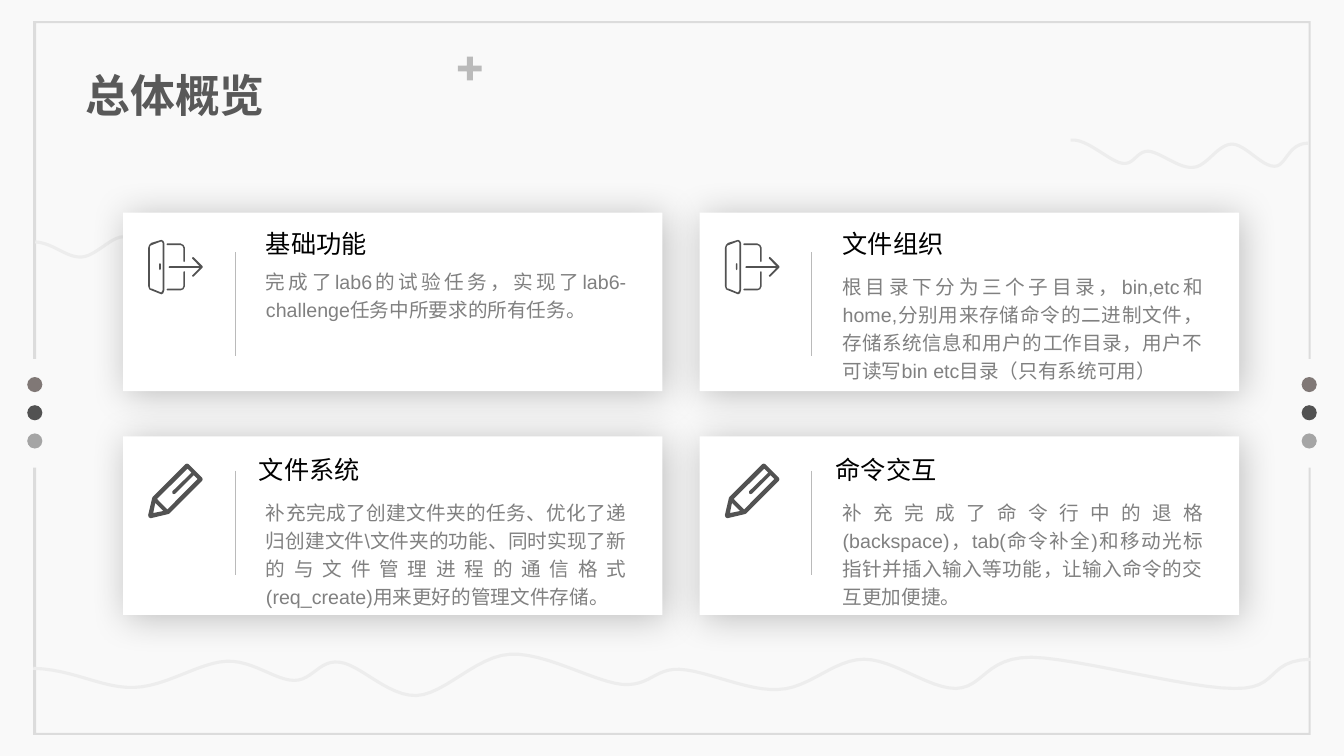
from lxml import etree
from pptx import Presentation
from pptx.dml.color import RGBColor
from pptx.enum import shapes, text
from pptx.oxml import ns
from pptx.util import Inches, Pt

BACKDROP = RGBColor(0xF9, 0xF9, 0xF9)
FRAME = RGBColor(0xDC, 0xDC, 0xDC)
WAVE = RGBColor(0xED, 0xED, 0xED)
TAUPE = RGBColor(0x80, 0x78, 0x76)
CHARCOAL = RGBColor(0x52, 0x52, 0x52)
SILVER = RGBColor(0xA5, 0xA5, 0xA5)
RULE = RGBColor(0xBA, 0xBA, 0xBA)
HEADING = RGBColor(0x59, 0x59, 0x59)
BODY = RGBColor(0x80, 0x80, 0x80)
BLACK = RGBColor(0, 0, 0)
WHITE = RGBColor(0xFF, 0xFF, 0xFF)

# Waves: a start point, then two handles and an end point per curve (inches)
WAVES = [
    [(0.33, 6.63), (0.73, 6.64), (1.01, 6.83), (1.33, 6.82), (1.65, 6.81), (1.98, 6.57),
     (2.25, 6.56), (2.51, 6.55), (2.73, 6.75), (2.92, 6.75), (3.1, 6.75), (3.17, 6.54),
     (3.37, 6.57), (3.57, 6.59), (3.85, 6.91), (4.13, 6.9), (4.41, 6.89), (4.72, 6.51),
     (5.06, 6.49), (5.4, 6.47), (5.89, 6.76), (6.17, 6.79), (6.45, 6.81), (6.49, 6.63),
     (6.74, 6.64), (7, 6.65), (7.42, 6.86), (7.72, 6.84), (8.03, 6.83), (8.27, 6.54),
     (8.57, 6.54), (8.86, 6.54), (9.21, 6.83), (9.48, 6.83), (9.76, 6.82), (9.77, 6.52),
     (10.23, 6.52), (10.69, 6.53), (11.78, 6.83), (12.24, 6.83), (12.7, 6.84),
     (12.55, 6.55), (13, 6.54)],
    [(10.62, 1.39), (10.78, 1.37), (11, 1.6), (11.13, 1.62), (11.25, 1.64), (11.27, 1.5),
     (11.39, 1.5), (11.51, 1.51), (11.7, 1.68), (11.84, 1.66), (11.97, 1.65),
     (12.08, 1.43), (12.22, 1.43), (12.35, 1.43), (12.51, 1.65), (12.64, 1.65),
     (12.76, 1.65), (12.77, 1.42), (12.98, 1.42)],
    [(0.35, 2.4), (0.53, 2.41), (0.66, 2.56), (0.81, 2.55), (0.95, 2.54), (1.1, 2.35),
     (1.22, 2.35), (1.34, 2.34), (1.44, 2.49), (1.53, 2.49), (1.61, 2.5), (1.64, 2.33),
     (1.73, 2.35), (1.83, 2.37), (1.95, 2.62), (2.08, 2.61), (2.21, 2.6), (2.35, 2.3),
     (2.51, 2.29), (2.66, 2.27), (2.88, 2.5), (3.01, 2.52)],
]

# Icon contours in hundredths of an inch
DOOR = [
    [(13, 0), (15, 1), (16, 3), (16, 50), (15, 53), (13, 54), (3, 50), (1, 49),
     (0, 46), (0, 8), (1, 5), (3, 3)],
    [(13, 1.5), (4, 5), (2, 6), (1.7, 8), (1.7, 46), (2, 48), (4, 48.5), (13, 52.3),
     (14.3, 50), (14.3, 3)],
    [(11.7, 23), (12.5, 24), (12.5, 29), (11.7, 30), (10.9, 29), (10.9, 24)],
    [(19, 3.5), (32, 3.5), (35, 5), (36.5, 8), (36.5, 21), (35.7, 22), (34.8, 21),
     (34.8, 8), (34, 6), (32, 5.2), (19, 5.2), (18.2, 4.4)],
    [(35.7, 31), (36.5, 32), (36.5, 46), (35, 49), (32, 50.2), (19, 50.2), (18.2, 49.3),
     (19, 48.5), (32, 48.5), (34, 48), (34.8, 46), (34.8, 32)],
    [(44, 17), (45, 17.3), (54, 26.3), (54, 27.5), (45, 36.5), (44, 36.5), (43.6, 35.5),
     (51, 27.8), (21, 27.8), (20.2, 27), (21, 26.1), (51, 26.1), (43.6, 18.5)],
]
PENCIL = [
    [(53.5, 14), (40, 0.5), (38.5, 0), (37, 0.5), (4.5, 33), (4, 34), (0, 51), (0.5, 53),
     (2, 54), (3, 54), (20, 50), (21, 49.5), (53.5, 17), (54, 15.5)],
    [(7, 39), (15, 47), (5, 49)],
    [(19, 45.5), (8.7, 35), (39, 5), (43, 9), (24, 27.5), (24, 29.5), (25.5, 30.2),
     (27, 29.7), (45.2, 11.3), (49, 15.2)],
]

# Rows: top, icon, rule top, title offset
ROWS = [(2.11, DOOR, 0.39, (1.32, 0.11)), (4.33, PENCIL, 0.34, (1.25, 0.13))]
COLUMNS = [1.22, 6.94]
# Cards: title, body, body offset from the card's top, body height
CARDS = [
    [("基础功能", "完成了lab6的试验任务，实现了lab6-challenge任务中所要求的所有任务。", 0.47, 0.66),
     ("文件组织", "根目录下分为三个子目录，bin,etc和home,分别用来存储命令的二进制文件，"
      "存储系统信息和用户的工作目录，用户不可读写bin etc目录（只有系统可用）", 0.52, 1.51)],
    [("文件系统", "补充完成了创建文件夹的任务、优化了递归创建文件\\文件夹的功能、"
      "同时实现了新的与文件管理进程的通信格式(req_create)用来更好的管理文件存储。", 0.54, 1.23),
     ("命令交互", "补充完成了命令行中的退格(backspace)，tab(命令补全)和移动光标指针并插入输入等功能，"
      "让输入命令的交互更加便捷。", 0.54, 0.95)],
]


def apply(target, **values):
    for name, value in values.items():
        setattr(target, name, value)


def add_solid(parts, kind, box, color):
    shape = parts.add_shape(kind, *map(Inches, box))
    shape.shadow.inherit = False
    shape.fill.solid()
    shape.fill.fore_color.rgb = color
    shape.line.fill.background()
    return shape


def add_outline(parts, contours, left=0, top=0, unit=1, close=True):
    scaled = [[(Inches(x * unit), Inches(y * unit)) for x, y in points] for points in contours]
    builder = parts.build_freeform(*scaled[0][0])
    for index, points in enumerate(scaled):
        if index:
            builder.move_to(*points[0])
        builder.add_line_segments(points[1:], close=close)
    shape = builder.convert_to_shape(Inches(left), Inches(top))
    shape.shadow.inherit = False
    return shape


def add_filled_outline(parts, contours, color, **place):
    shape = add_outline(parts, contours, **place)
    shape.fill.solid()
    shape.fill.fore_color.rgb = color
    shape.line.fill.background()


def add_text(parts, box, words, wrap=True, para_format=None, **font):
    frame = parts.add_textbox(*map(Inches, box)).text_frame
    apply(frame, word_wrap=wrap, auto_size=text.MSO_AUTO_SIZE.SHAPE_TO_FIT_TEXT)
    para = frame.paragraphs[0]
    apply(para, **(para_format or {}))
    span = para.add_run()
    span.text = words
    color = font.pop("color")
    apply(span.font, name="Arial", **font)
    span.font.color.rgb = color


JUSTIFIED = {"alignment": text.PP_ALIGN.JUSTIFY, "line_spacing": 1.2}


def sample_curves(points, steps=12):
    curve = [points[0]]
    for start in range(0, len(points) - 1, 3):
        a, b, c, d = points[start:start + 4]
        for step in range(1, steps + 1):
            t = step / steps
            s = 1 - t
            curve.append(tuple(s**3 * a[i] + 3 * s * s * t * b[i] + 3 * s * t * t * c[i]
                               + t**3 * d[i] for i in (0, 1)))
    return curve


def add_backdrop(page, left, top, right, bottom):
    page.background.fill.solid()
    page.background.fill.fore_color.rgb = BACKDROP
    # Frame halves, open at the sides
    halves = []
    for edge, inner, end in ((bottom, bottom - 0.02, 4.64), (top, top + 0.02, 3.56)):
        halves.append([(left, end), (left + 0.03, end), (left + 0.03, inner),
                       (right - 0.02, inner), (right - 0.02, end), (right, end),
                       (right, edge), (left, edge)])
    add_filled_outline(page.shapes, halves, FRAME)
    # Dots in the gaps
    for row, color in enumerate((TAUPE, CHARCOAL, SILVER)):
        for x in (0.27, 12.91):
            add_solid(page.shapes, shapes.MSO_SHAPE.OVAL, (x, 3.74 + row * 0.28, 0.15, 0.15), color)
    # Waves
    for points in WAVES:
        wave = add_outline(page.shapes, [sample_curves(points)], close=False)
        wave.fill.background()
        wave.line.color.rgb = WAVE
        wave.line.width = Pt(2.25)


def add_heading(page, left, top):
    parts = page.shapes.add_group_shape().shapes
    add_text(parts, (left, top, 4.22, 0.75), "总体概览", para_format=JUSTIFIED,
             size=Pt(32), bold=True, color=HEADING)
    plus = add_solid(parts, shapes.MSO_SHAPE.MATH_PLUS, (left + 3.75, top, 0.32, 0.32), RULE)
    plus.adjustments[0] = 0.182


def add_card_shadow(card):
    effects = card.element.spPr.find(ns.qn("a:effectLst"))
    shadow = etree.SubElement(effects, ns.qn("a:outerShdw"), blurRad=str(Pt(27)),
                              dist=str(Pt(3)), dir="2700000", algn="ctr", rotWithShape="0")
    color = etree.SubElement(shadow, ns.qn("a:srgbClr"), val="000000")
    etree.SubElement(color, ns.qn("a:alpha"), val="24000")


def add_card(page, left, top, icon, rule_top, title_offset, content):
    title, body, body_top, body_height = content
    parts = page.shapes.add_group_shape().shapes
    card = add_solid(parts, shapes.MSO_SHAPE.RECTANGLE, (left, top, 5.35, 1.77), WHITE)
    add_card_shadow(card)
    add_filled_outline(parts, icon, CHARCOAL, left=left + 0.25, top=top + 0.27, unit=0.01)
    # Divider
    x, y = Inches(left + 1.11), top + rule_top
    rule = parts.add_connector(shapes.MSO_CONNECTOR.STRAIGHT, x, Inches(y), x, Inches(y + 1.03))
    rule.line.color.rgb = RULE
    rule.line.width = Pt(0.5)
    etree.SubElement(rule.element.spPr, ns.qn("a:effectLst"))
    # Wording
    add_text(parts, (left + 1.32, top + body_top, 3.77, body_height), body,
             para_format=JUSTIFIED, size=Pt(14), color=BODY)
    add_text(page.shapes, (left + title_offset[0], top + title_offset[1], 1.2, 0.4), title,
             wrap=False, size=Pt(18), color=BLACK)


def main():
    deck = Presentation()
    apply(deck, slide_width=Inches(13.33), slide_height=Inches(7.5))
    page = deck.slides.add_slide(deck.slide_layouts[6])
    add_backdrop(page, 0.33, 0.21, 13, 7.29)
    add_heading(page, 0.75, 0.52)
    for (top, icon, rule_top, title_offset), contents in zip(ROWS, CARDS):
        for left, content in zip(COLUMNS, contents):
            add_card(page, left, top, icon, rule_top, title_offset, content)
    deck.save("out.pptx")


if __name__ == "__main__":
    main()
